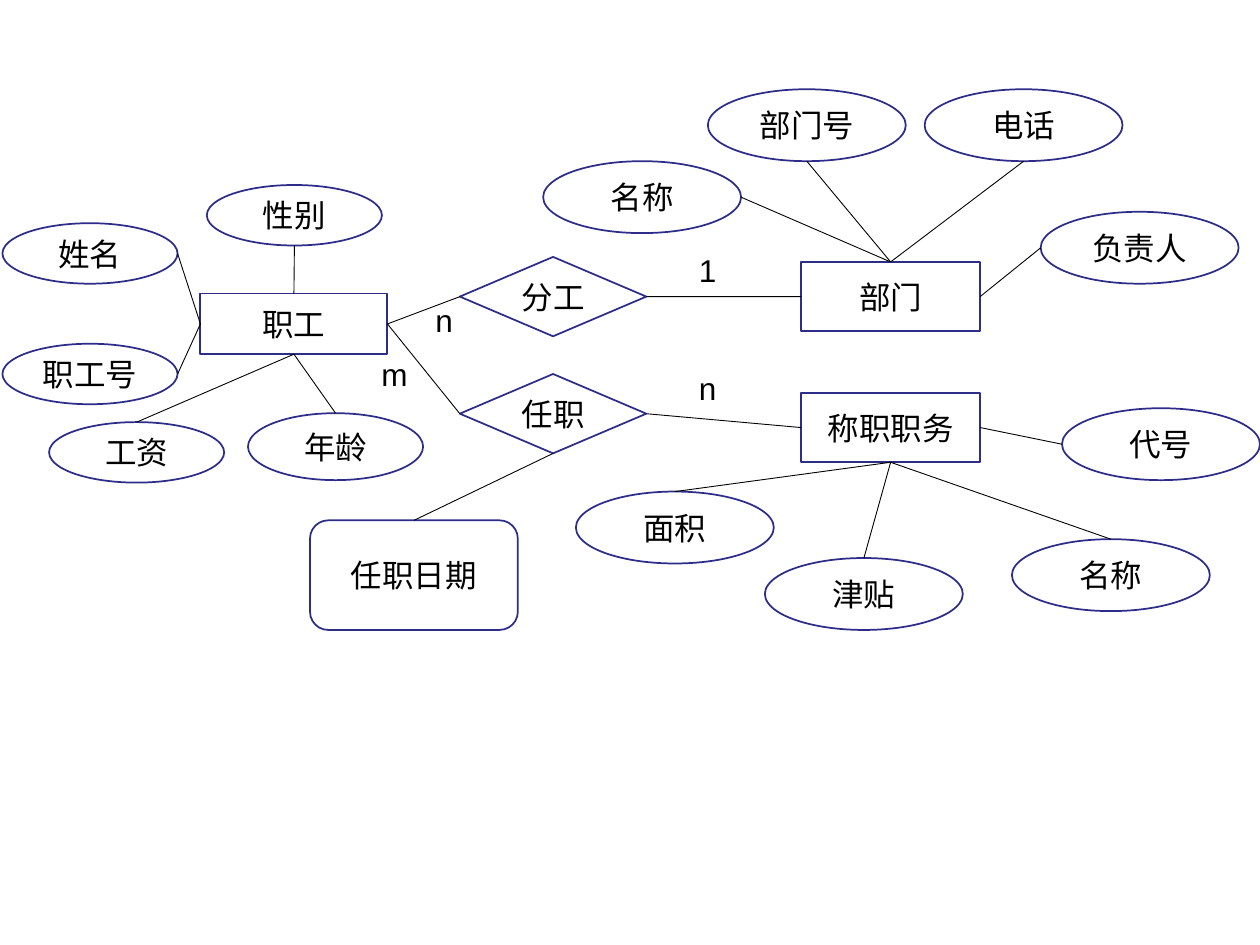
from lxml import etree
from pptx import Presentation
from pptx.dml.color import RGBColor
from pptx.enum import shapes, text
from pptx.oxml.ns import qn
from pptx.util import Cm, Pt

COLOURS = {name: RGBColor.from_string(value) for name, value in
           {"fill": "FFFFFF", "outline": "2D2D89", "ink": "000000"}.items()}
KIND = shapes.MSO_SHAPE
TOP, LEFT, BOTTOM, RIGHT = range(4)


def write(box, words, align, anchor):
    frame = box.text_frame
    frame.word_wrap = True
    frame.vertical_anchor = anchor
    paragraph = frame.paragraphs[0]
    paragraph.text = words
    paragraph.alignment = align
    paragraph.font.name = "Arial"
    paragraph.font.size = Pt(18)
    paragraph.font.color.rgb = COLOURS["ink"]


def side_point(node, side):
    x = node.left + {LEFT: 0, RIGHT: node.width}.get(side, node.width // 2)
    y = node.top + {TOP: 0, BOTTOM: node.height}.get(side, node.height // 2)
    return x, y


presentation = Presentation()
presentation.slide_width, presentation.slide_height = Cm(25.4), Cm(19.05)
slide = presentation.slides.add_slide(presentation.slide_layouts[6])

# Entities, relationships and attributes: kind, width, height, {key: (words, left, top)}
groups = [
    (KIND.RECTANGLE, 3.77, 1.22, {"staff": ("职工", 4.04, 5.92)}),
    (KIND.RECTANGLE, 3.61, 1.4, {
        "department": ("部门", 16.15, 5.28),
        "post": ("称职职务", 16.15, 7.92)}),
    (KIND.FLOWCHART_DECISION, 3.76, 1.6, {
        "assignment": ("分工", 9.27, 5.18),
        "appointment": ("任职", 9.27, 7.54)}),
    (KIND.ROUNDED_RECTANGLE, 4.19, 2.21, {
        "appointment date": ("任职日期", 6.25, 10.49)}),
    (KIND.OVAL, 3.53, 1.22, {
        "staff name": ("姓名", 0.05, 4.5),
        "gender": ("性别", 4.17, 3.73),
        "staff number": ("职工号", 0.05, 6.93),
        "salary": ("工资", 0.99, 8.51)}),
    (KIND.OVAL, 3.53, 1.35, {"age": ("年龄", 5, 8.33)}),
    (KIND.OVAL, 3.99, 1.45, {
        "department name": ("名称", 10.95, 3.25),
        "department number": ("部门号", 14.27, 1.8),
        "phone": ("电话", 18.64, 1.8),
        "manager": ("负责人", 20.98, 4.27),
        "area": ("面积", 11.61, 9.91),
        "allowance": ("津贴", 15.42, 11.25),
        "post name": ("名称", 20.4, 10.87),
        "code": ("代号", 21.41, 8.23)}),
]
nodes = {}
for kind, width, height, members in groups:
    for key, (words, left, top) in members.items():
        node = slide.shapes.add_shape(kind, Cm(left), Cm(top), Cm(width), Cm(height))
        node.shadow.inherit = False
        node.fill.solid()
        node.fill.fore_color.rgb = COLOURS["fill"]
        node.line.color.rgb = COLOURS["outline"]
        node.line.width = Pt(1)
        write(node, words, text.PP_ALIGN.CENTER, text.MSO_ANCHOR.MIDDLE)
        nodes[key] = node

# Links from side to side
links = [
    ("staff name", RIGHT, "staff", LEFT),
    ("staff number", RIGHT, "staff", LEFT),
    ("gender", BOTTOM, "staff", TOP),
    ("age", TOP, "staff", BOTTOM),
    ("salary", TOP, "staff", BOTTOM),
    ("assignment", LEFT, "staff", RIGHT),
    ("appointment", LEFT, "staff", RIGHT),
    ("appointment", BOTTOM, "appointment date", TOP),
    ("assignment", RIGHT, "department", LEFT),
    ("appointment", RIGHT, "post", LEFT),
    ("department name", RIGHT, "department", TOP),
    ("department number", BOTTOM, "department", TOP),
    ("phone", BOTTOM, "department", TOP),
    ("manager", LEFT, "department", RIGHT),
    ("area", TOP, "post", BOTTOM),
    ("allowance", TOP, "post", BOTTOM),
    ("post name", TOP, "post", BOTTOM),
    ("code", LEFT, "post", RIGHT),
]
for start, start_side, end, end_side in links:
    link = slide.shapes.add_connector(
        shapes.MSO_CONNECTOR.STRAIGHT,
        *side_point(nodes[start], start_side), *side_point(nodes[end], end_side))
    # Ovals number their connection sites differently, so they stay unjoined
    if nodes[start].auto_shape_type != KIND.OVAL:
        link.begin_connect(nodes[start], start_side)
    link.end_connect(nodes[end], end_side)
    link.line.color.rgb = COLOURS["ink"]
    link.line.width = Pt(0.5)
    etree.SubElement(link._element.spPr, qn("a:effectLst"))

# Cardinalities
for words, left, top, width in [("m", 7.44, 7.04, 0.91), ("1", 13.84, 4.93, 1.09),
                                ("n", 8.53, 5.94, 0.94), ("n", 13.84, 7.32, 1.09)]:
    cardinality = slide.shapes.add_textbox(Cm(left), Cm(top), Cm(width), Cm(1.02))
    write(cardinality, words, text.PP_ALIGN.LEFT, text.MSO_ANCHOR.TOP)

presentation.save("out.pptx")
